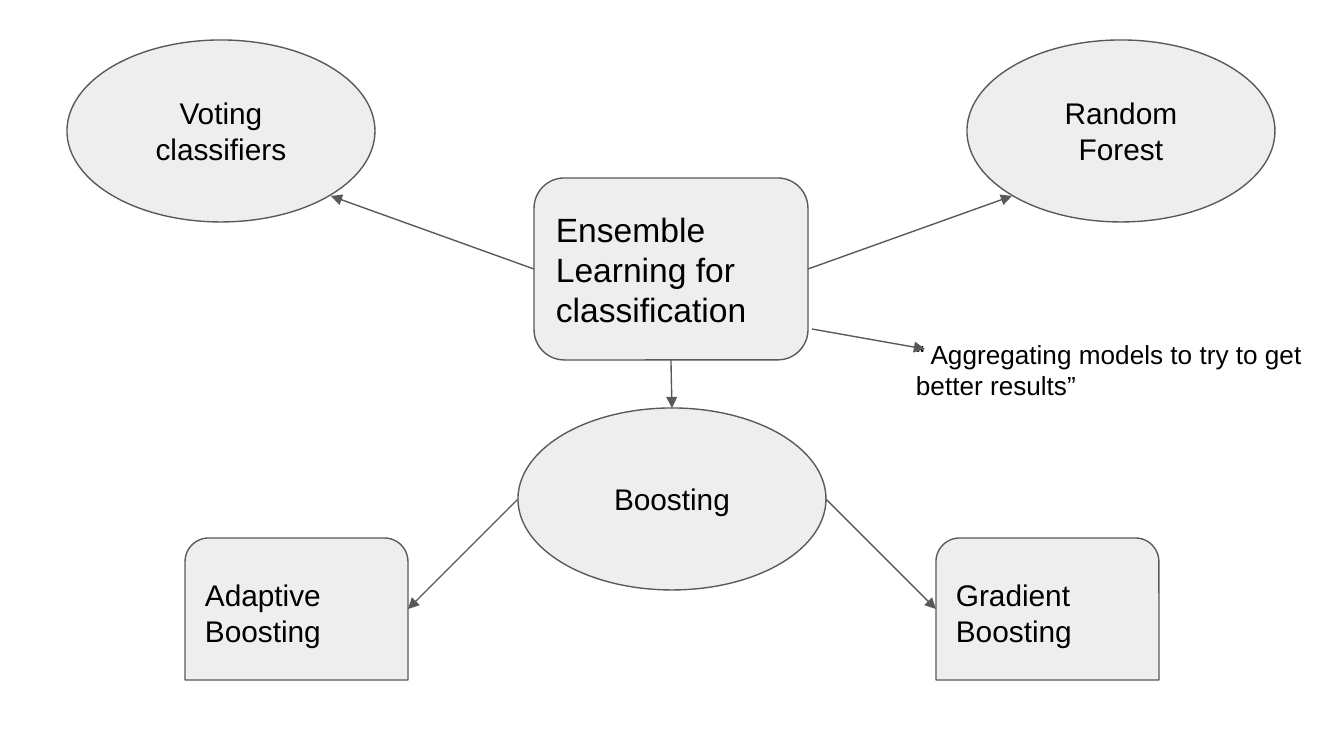
from lxml.etree import SubElement
from pptx import Presentation
from pptx.dml.color import RGBColor
from pptx.enum.shapes import MSO_CONNECTOR, MSO_SHAPE as SHAPE
from pptx.enum.text import MSO_ANCHOR, MSO_AUTO_SIZE, PP_ALIGN as ALIGN
from pptx.oxml.ns import qn
from pptx.util import Emu, Pt

PX = 6804  # EMU per px
COLORS = {"fill": "EEEEEE", "line": "595959", "text": "000000"}
INSET = 13


def px(*lengths):
    return [Emu(length * PX) for length in lengths]


def write(frame, text, size, align=ALIGN.LEFT):
    frame.word_wrap = True
    frame.margin_left, frame.margin_top, frame.margin_right, frame.margin_bottom = px(*[INSET] * 4)
    frame.text = text
    paragraph = frame.paragraphs[0]
    paragraph.alignment = align
    font = paragraph.runs[0].font
    font.name, font.size = "Arial", Pt(size)
    font.color.rgb = RGBColor.from_string(COLORS["text"])


prs = Presentation()
prs.slide_width, prs.slide_height = px(1344, 756)
slide = prs.slides.add_slide(prs.slide_layouts[6])

# Topic and methods
OVAL, TAB = (308, 182), (223, 142)
nodes = [
    ("Ensemble Learning for classification", SHAPE.ROUNDED_RECTANGLE, (534, 178), (274, 182), 18, ALIGN.LEFT),
    ("Random Forest", SHAPE.OVAL, (967, 40), OVAL, 16, ALIGN.CENTER),
    ("Voting classifiers", SHAPE.OVAL, (67, 40), OVAL, 16, ALIGN.CENTER),
    ("Boosting", SHAPE.OVAL, (518, 408), OVAL, 16, ALIGN.CENTER),
    ("Adaptive Boosting", SHAPE.ROUND_2_SAME_RECTANGLE, (185, 538), TAB, 16, ALIGN.LEFT),
    ("Gradient Boosting", SHAPE.ROUND_2_SAME_RECTANGLE, (936, 538), TAB, 16, ALIGN.LEFT),
]
placed = {}
for label, outline, corner, extent, size, align in nodes:
    node = slide.shapes.add_shape(outline, *px(*corner, *extent))
    node.shadow.inherit = False
    node.fill.solid()
    node.fill.fore_color.rgb = RGBColor.from_string(COLORS["fill"])
    node.line.color.rgb = RGBColor.from_string(COLORS["line"])
    node.line.width = Pt(0.75)
    node.text_frame.vertical_anchor = MSO_ANCHOR.MIDDLE
    write(node.text_frame, label, size, align)
    placed[label] = node

# Definition
definition = slide.shapes.add_textbox(*px(903, 325, 435, 90))
write(definition.text_frame, "“ Aggregating models to try to get better results”", 14)
definition.text_frame.auto_size = MSO_AUTO_SIZE.SHAPE_TO_FIT_TEXT

# Arrows: start, end, side of the topic box where the arrow is joined
arrows = [
    ((534, 269), (331, 196), 1),
    ((808, 269), (1012, 196), 3),
    ((671, 360), (672, 408), 2),
    ((518, 499), (408, 609), None),
    ((826, 499), (936, 609), None),
    ((812, 329), (925, 349), None),
]
topic = placed["Ensemble Learning for classification"]
for start, end, side in arrows:
    arrow = slide.shapes.add_connector(MSO_CONNECTOR.STRAIGHT, *px(*start, *end))
    if side is not None:
        arrow.begin_connect(topic, side)
    if side == 2:
        arrow.end_connect(placed["Boosting"], 0)
    arrow.line.color.rgb = RGBColor.from_string(COLORS["line"])
    arrow.line.width = Pt(0.75)
    SubElement(arrow.line._get_or_add_ln(), qn("a:tailEnd"), type="triangle", w="med", len="med")
    SubElement(arrow._element.spPr, qn("a:effectLst"))

prs.save("out.pptx")
